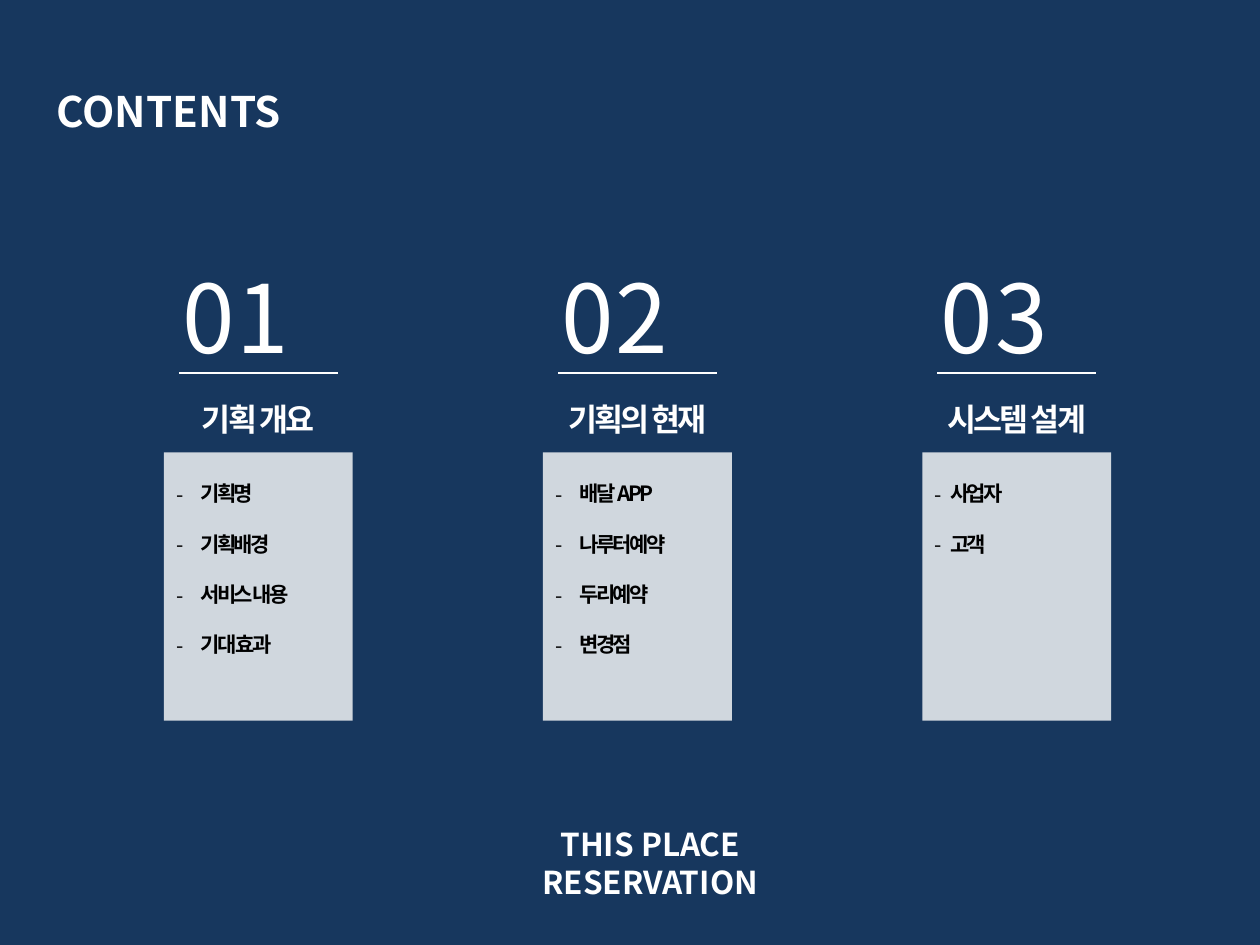
from pptx import Presentation
from pptx import util as u
from pptx.dml.color import RGBColor
from pptx.enum import shapes, text
from pptx.oxml.ns import qn
from lxml import etree

NAVY = RGBColor(0x17, 0x37, 0x5E)
WHITE = RGBColor(0xFF, 0xFF, 0xFF)
BLACK = RGBColor(0, 0, 0)
SANS = "Noto Sans CJK KR"
LEFT, PITCH, WIDTH = 1.3, 3.01, 1.5  # column grid
LINE = 1.2  # line height, share of the text size

TOPICS = [
    ("01", "기획 개요", ["기획명", "기획배경", "서비스 내용", "기대 효과"], 0.19),
    ("02", "기획의 현재", ["배달 APP", "나루터예약", "두리예약", "변경점"], 0.19),
    ("03", "시스템 설계", ["사업자", "고객"], 0.12),
]


def place(shape, x, y, w, h):
    shape.left, shape.top, shape.width, shape.height = map(u.Inches, (x, y, w, h))


def write(shape, box, words, size, color=WHITE, bold=True, font=SANS,
          align=text.PP_ALIGN.LEFT, track=0, gap=0):
    """Set the text of a box, one paragraph per line."""
    x, y, w, h = box
    place(shape, x, y + 0.09 * size / 72, w, h)  # evens out the fixed line height
    frame = shape.text_frame
    frame.text = words
    frame.word_wrap = True
    frame.auto_size = text.MSO_AUTO_SIZE.NONE
    frame.vertical_anchor = text.MSO_ANCHOR.TOP
    for para in frame.paragraphs:
        para.alignment = align
        para.line_spacing = u.Pt(LINE * size)
        para.space_before, para.space_after = u.Pt(0), u.Pt(gap)
        for run in para.runs:
            run.font.name, run.font.size = font, u.Pt(size)
            run.font.bold, run.font.color.rgb = bold, color
            props = run._r.get_or_add_rPr()
            etree.SubElement(props, qn("a:ea")).set("typeface", SANS)
            props.set("spc", str(int(track * 100)))


def dash(para, hang):
    """Give a paragraph a hanging dash."""
    props = para._p.get_or_add_pPr()
    props.set("marL", str(u.Inches(hang)))
    props.set("indent", str(-u.Inches(hang)))
    etree.SubElement(props, qn("a:buFont")).set("typeface", SANS)
    etree.SubElement(props, qn("a:buChar")).set("char", "-")


def card(slide, box):
    rect = slide.shapes.add_shape(shapes.MSO_SHAPE.RECTANGLE, 0, 0, 0, 0)
    place(rect, *box)
    rect.shadow.inherit = False
    rect.fill.solid()
    rect.fill.fore_color.rgb = WHITE
    rect.line.fill.background()
    tint = rect._element.spPr.find(".//" + qn("a:srgbClr"))
    etree.SubElement(tint, qn("a:alpha")).set("val", "80000")


def rule(slide, x, y, w):
    line = slide.shapes.add_connector(
        shapes.MSO_CONNECTOR.STRAIGHT, *map(u.Inches, (x, y, x + w, y)))
    line.line.color.rgb = WHITE
    line.line.width = u.Pt(0.75)
    etree.SubElement(line._element.spPr, qn("a:effectLst"))


def label(slide, box, words, size, **look):
    write(slide.shapes.add_textbox(0, 0, 0, 0), box, words, size, **look)


def column(slide, body, x, topic):
    """Number, rule, heading and list of one topic."""
    num, head, items, hang = topic
    label(slide, (x + 0.05, 1.94, WIDTH, 1.01), num, 54, bold=False, track=1)
    rule(slide, x + 0.12, 2.96, WIDTH - 0.24)
    label(slide, (x - 0.15, 3.1, WIDTH + 0.3, 0.4), head, 18, font="Arial",
          align=text.PP_ALIGN.CENTER, track=-1.5)
    card(slide, (x, 3.59, WIDTH, 2.13))
    slide.shapes._spTree.append(body._element)  # list goes above its card
    write(body, (x, 3.75, WIDTH, 1.92), "\n".join(items), 12, color=BLACK,
          track=-1.5, gap=LINE * 12)
    for para in body.text_frame.paragraphs:
        dash(para, hang)


def main():
    deck = Presentation()
    deck.slide_width, deck.slide_height = u.Inches(10), u.Inches(7.5)
    slide = deck.slides.add_slide(deck.slide_layouts[4])
    slide.background.fill.solid()
    slide.background.fill.fore_color.rgb = NAVY

    # Title
    title, *bodies = list(slide.placeholders)
    write(title, (0.35, 0.6, 4.57, 0.5), "CONTENTS", 24)

    # Topics
    for i, topic in enumerate(TOPICS):
        column(slide, bodies[i], LEFT + i * PITCH, topic)
    for spare in bodies[len(TOPICS):]:
        spare._element.getparent().remove(spare._element)

    # Closing name
    label(slide, (3.19, 6.48, 3.94, 0.71), "THIS PLACE\nRESERVATION", 18,
          align=text.PP_ALIGN.CENTER)
    deck.save("out.pptx")


if __name__ == "__main__":
    main()
